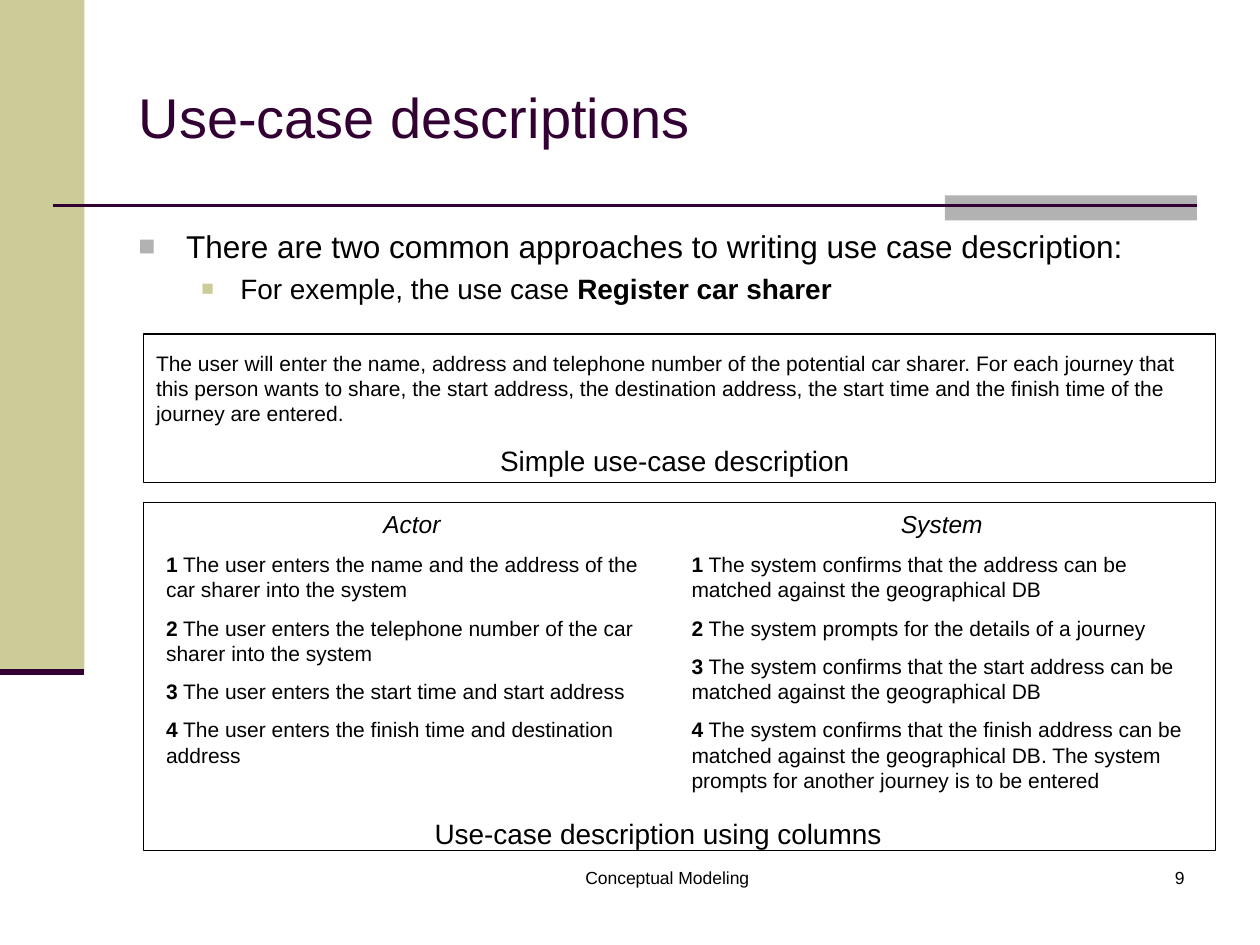
from lxml import etree
from pptx import Presentation
from pptx.dml.color import RGBColor
from pptx.enum.shapes import MSO_CONNECTOR, MSO_SHAPE
from pptx.enum.text import MSO_ANCHOR, MSO_AUTO_SIZE, PP_ALIGN
from pptx.oxml.ns import qn
from pptx.util import Inches, Pt

LEFT, CENTER, RIGHT = PP_ALIGN.LEFT, PP_ALIGN.CENTER, PP_ALIGN.RIGHT
FONT = "Arial"
COLORS = {"khaki": "CCCC99", "gray": "B2B2B2", "plum": "330033", "black": "000000"}

# Content
TITLE = "Use-case descriptions"
# runs (text, bold), size, space before, indent, hanging, bullet colour, bullet percent
BULLETS = [
    ([("There are two common approaches to writing use case description:", False)],
     18, 0, 0.38, 0.38, "gray", 90),
    ([("For exemple, the use case ", False), ("Register car sharer", True)],
     16, 4, 0.81, 0.31, "khaki", 75),
]
SIMPLE_TEXT = (
    "The user will enter the name, address and telephone number of the potential "
    "car sharer. For each journey that this person wants to share, the start address, "
    "the destination address, the start time and the finish time of the journey are entered."
)
SIMPLE_CAPTION = "Simple use-case description"
COLUMNS_CAPTION = "Use-case description using columns"
# heading, place, steps
COLUMNS = [
    ("Actor", (1.22, 3.99, 4.1, 2.15), [
        "The user enters the name and the address of the car sharer into the system",
        "The user enters the telephone number of the car sharer into the system",
        "The user enters the start time and start address",
        "The user enters the finish time and destination address",
    ]),
    ("System", (5.39, 3.99, 4.17, 2.35), [
        "The system confirms that the address can be matched against the geographical DB",
        "The system prompts for the details of a journey",
        "The system confirms that the start address can be matched against the geographical DB",
        "The system confirms that the finish address can be matched against the "
        "geographical DB. The system prompts for another journey is to be entered",
    ]),
]
# text, place, alignment
FOOTERS = [
    ("Conceptual Modeling", (3.67, 6.83, 3.25, 0.5), CENTER),
    ("9", (7.42, 6.83, 2.08, 0.5), RIGHT),
]
BANDS = [((0, 0, 0.67, 5.33), "khaki"), ((7.5, 1.55, 2, 0.2), "gray")]
# start x, end x, y, width
RULES = [(0.42, 9.5, 1.63, 1.5), (0, 0.67, 5.33, 3.5)]
FRAMES = [(1.14, 2.65, 8.51, 1.18), (1.14, 3.99, 8.51, 2.76)]


def rgb(name):
    return RGBColor.from_string(COLORS[name])


def inches(place):
    return [Inches(value) for value in place]


def add_rectangle(page, place, fill=None, line=None):
    shape = page.shapes.add_shape(MSO_SHAPE.RECTANGLE, *inches(place))
    shape.shadow.inherit = False
    if fill:
        shape.fill.solid()
        shape.fill.fore_color.rgb = rgb(fill)
    else:
        shape.fill.background()
    if line:
        shape.line.color.rgb = rgb(line)
        shape.line.width = Pt(0.75)
    else:
        shape.line.fill.background()


def add_rule(page, start, end, y, width):
    rule = page.shapes.add_connector(
        MSO_CONNECTOR.STRAIGHT, Inches(start), Inches(y), Inches(end), Inches(y))
    rule.line.color.rgb = rgb("plum")
    rule.line.width = Pt(width)
    etree.SubElement(rule.element.spPr, qn("a:effectLst"))


def add_text_box(page, place):
    frame = page.shapes.add_textbox(*inches(place)).text_frame
    frame.word_wrap = True
    return frame


def write(para, runs, size, align=LEFT, before=0, italic=False, color="black"):
    para.alignment = align
    para.space_before = Pt(before)
    for text, bold in runs:
        span = para.add_run()
        span.text = text
        font = span.font
        font.name, font.size, font.bold, font.italic = FONT, Pt(size), bold, italic
        font.color.rgb = rgb(color)


def set_bullet(para, indent, hanging, color, percent):
    props = para._p.get_or_add_pPr()
    props.set("marL", str(Inches(indent)))
    props.set("indent", str(-Inches(hanging)))
    bullet_color = etree.SubElement(props, qn("a:buClr"))
    etree.SubElement(bullet_color, qn("a:srgbClr"), val=COLORS[color])
    etree.SubElement(props, qn("a:buSzPct"), val=str(percent * 1000))
    etree.SubElement(props, qn("a:buFont"), typeface=FONT)
    etree.SubElement(props, qn("a:buChar"), char="■")


def main():
    deck = Presentation()
    deck.slide_width, deck.slide_height = Inches(10), Inches(7.5)
    page = deck.slides.add_slide(deck.slide_layouts[5])

    # Side band, accent bar and rules
    for place, fill in BANDS:
        add_rectangle(page, place, fill=fill)
    for rule in RULES:
        add_rule(page, *rule)

    # Title
    title = page.shapes.title
    title.left, title.top, title.width, title.height = inches((1, 0.3, 8.5, 1.25))
    title.text_frame.auto_size = MSO_AUTO_SIZE.NONE
    title.text_frame.vertical_anchor = MSO_ANCHOR.MIDDLE
    write(title.text_frame.paragraphs[0], [(TITLE, False)], 32, color="plum")

    # Bullets
    frame = add_text_box(page, (1, 1.75, 8.5, 0.8))
    for index, (runs, size, before, *bullet) in enumerate(BULLETS):
        para = frame.add_paragraph() if index else frame.paragraphs[0]
        para.level = index
        set_bullet(para, *bullet)
        write(para, runs, size, before=before)

    # Simple description
    frame = add_text_box(page, (1.14, 2.73, 8.43, 1.11))
    write(frame.paragraphs[0], [(SIMPLE_TEXT, False)], 12)
    write(frame.add_paragraph(), [(SIMPLE_CAPTION, False)], 16, CENTER, 10)

    # Description in columns
    for heading, place, steps in COLUMNS:
        frame = add_text_box(page, place)
        write(frame.paragraphs[0], [(heading, False)], 14, CENTER, italic=True)
        for number, step in enumerate(steps, 1):
            runs = [(str(number), True), (f" {step}", False)]
            write(frame.add_paragraph(), runs, 12, before=7.5)
    frame = add_text_box(page, (3.35, 6.43, 4.41, 0.37))
    write(frame.paragraphs[0], [(COLUMNS_CAPTION, False)], 16)

    # Frames around both descriptions
    for place in FRAMES:
        add_rectangle(page, place, line="black")

    # Footer and page number
    for text, place, align in FOOTERS:
        write(add_text_box(page, place).paragraphs[0], [(text, False)], 10, align)

    deck.save("out.pptx")


if __name__ == "__main__":
    main()
